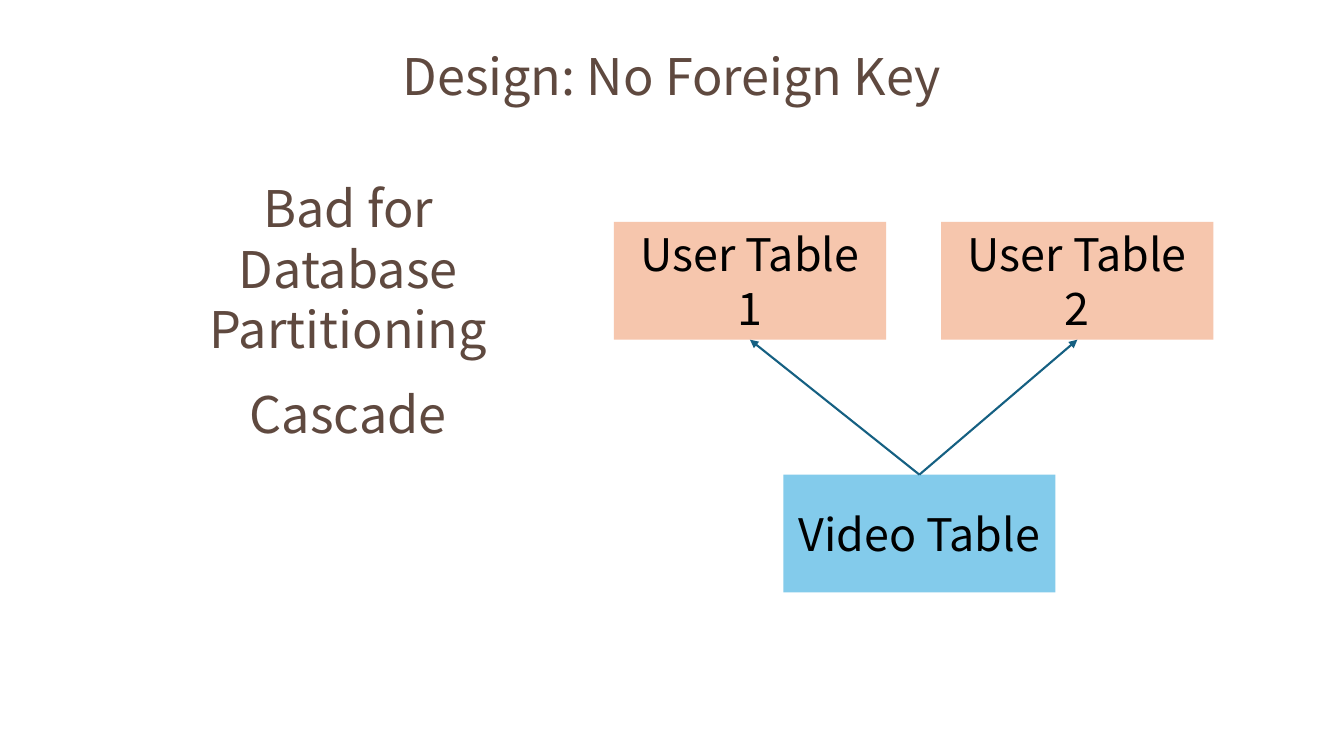
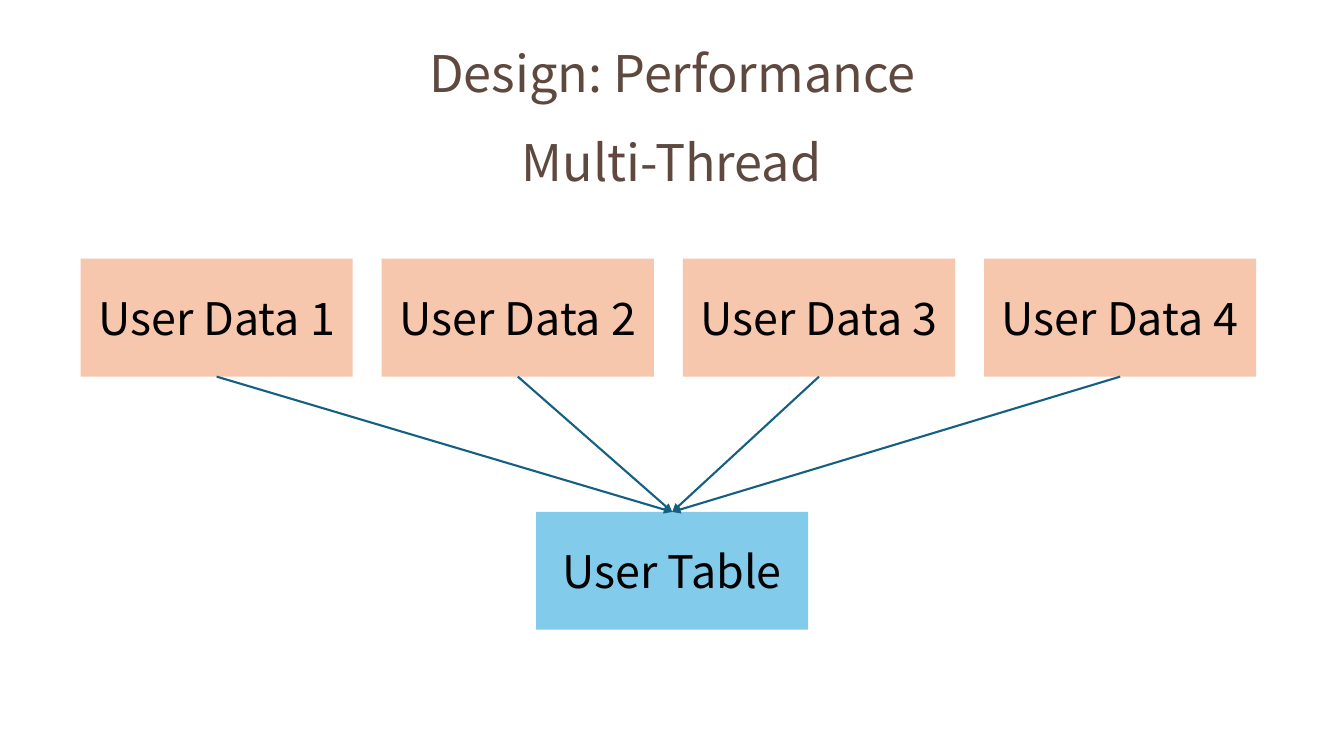
from lxml import etree
from pptx import Presentation
from pptx import util as u
from pptx.dml.color import RGBColor
from pptx.enum import shapes, text
from pptx.oxml.ns import qn

Cm = u.Cm
FONT = "Noto Sans CJK SC"
HUES = {"text": "5F493F", "label": "000000", "user": "F6C6AD", "sink": "83CBEB", "line": "156082"}
WIDE, TALL = 6.86, 2.97

deck = Presentation()
deck.slide_width, deck.slide_height = Cm(33.87), Cm(19.05)
blank = deck.slide_layouts[6]


def write(slide, words, left, top, wide, tall=1.8, fill=None, size=36, hue="text"):
    if fill:
        shape = slide.shapes.add_shape(shapes.MSO_SHAPE.RECTANGLE, Cm(left), Cm(top), Cm(wide), Cm(tall))
        shape.shadow.inherit = False
        shape.fill.solid()
        shape.fill.fore_color.rgb = RGBColor.from_string(HUES[fill])
        shape.line.fill.background()
    else:
        shape = slide.shapes.add_textbox(Cm(left), Cm(top), Cm(wide), Cm(tall))
    frame = shape.text_frame
    frame.word_wrap = True
    frame.vertical_anchor = text.MSO_ANCHOR.MIDDLE if fill else text.MSO_ANCHOR.TOP
    para = frame.paragraphs[0]
    para.alignment = text.PP_ALIGN.CENTER
    para.line_spacing = u.Pt(size * 1.2)
    run = para.add_run()
    run.text = words
    run.font.name = FONT
    run.font.size = u.Pt(size)
    run.font.color.rgb = RGBColor.from_string(HUES[hue])
    return shape


def link(slide, start, side, end, goal):
    line = slide.shapes.add_connector(shapes.MSO_CONNECTOR.STRAIGHT, 0, 0, 0, 0)
    line.begin_connect(start, side)
    line.end_connect(end, goal)
    line.line.color.rgb = RGBColor.from_string(HUES["line"])
    line.line.width = u.Pt(1.5)
    etree.SubElement(line.line._get_or_add_ln(), qn("a:tailEnd"), type="triangle")
    etree.SubElement(line._element.spPr, qn("a:effectLst"))


box = {"wide": WIDE, "tall": TALL, "size": 32, "hue": "label"}

keys = deck.slides.add_slide(blank)
write(keys, "Design: No Foreign Key", 7.82, 1.02, 18.21)
write(keys, "Bad for Database Partitioning", 3.86, 4.34, 9.83, tall=4.88)
write(keys, "Cascade", 3.86, 9.53, 9.83)
video = write(keys, "Video Table", 19.74, 11.96, fill="sink", **box)
for i in range(2):
    user = write(keys, f"User Table {i + 1}", 15.47 + i * 8.25, 5.59, fill="user", **box)
    link(keys, video, 0, user, 2)

speed = deck.slides.add_slide(blank)
write(speed, "Design: Performance", 8.46, 0.94, 16.97)
write(speed, "Multi-Thread", 8.71, 3.18, 16.43)
table = write(speed, "User Table", 13.51, 12.9, fill="sink", **box)
for i in range(4):
    user = write(speed, f"User Data {i + 1}", 2.03 + i * 7.59, 6.52, fill="user", **box)
    link(speed, user, 2, table, 0)

deck.save("out.pptx")
